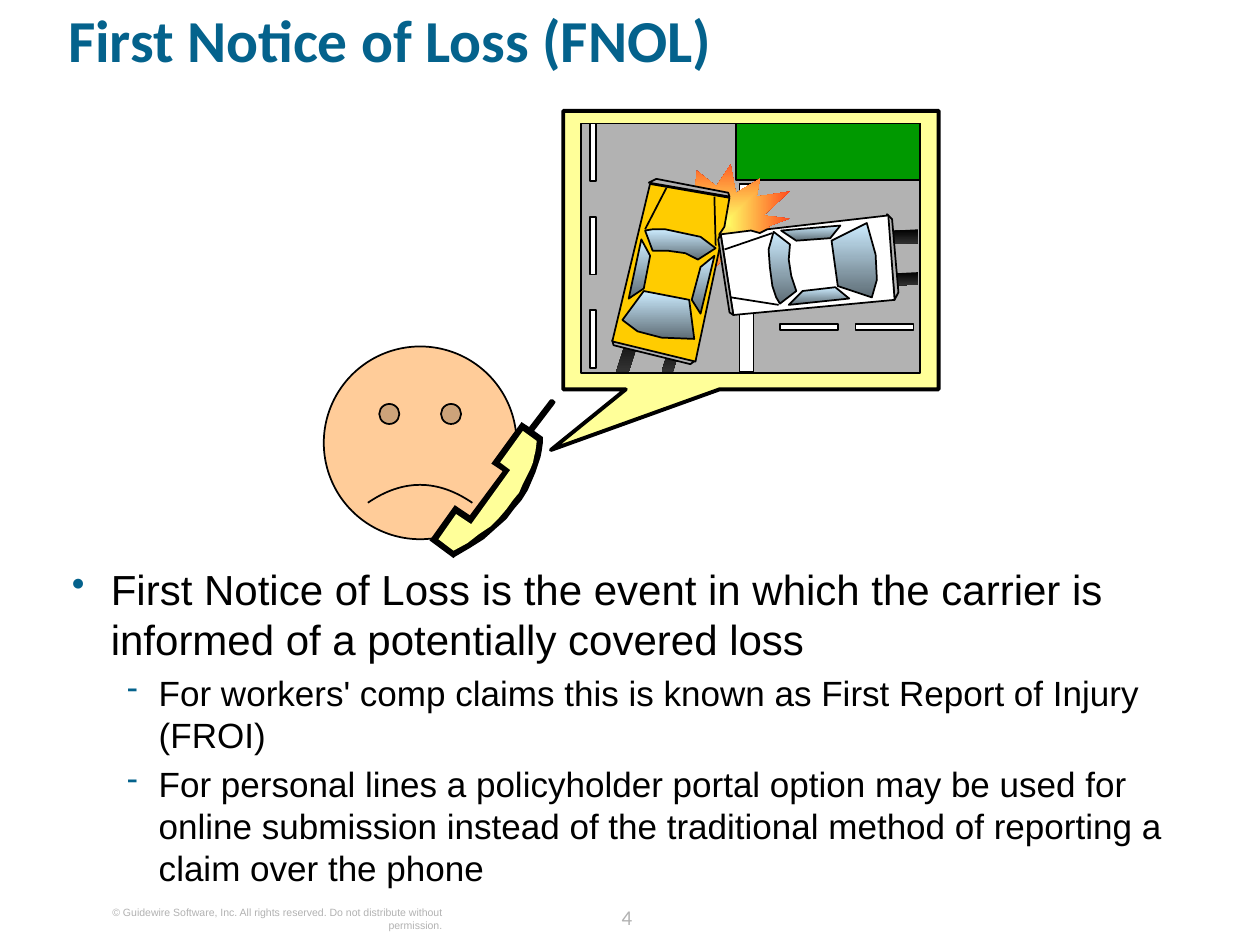
"""Build the First Notice of Loss slide with its accident call scene."""
from lxml import etree
from pptx import Presentation
from pptx.dml.color import RGBColor
from pptx.enum.shapes import MSO_CONNECTOR as CONNECTOR, MSO_SHAPE as SHAPE
from pptx.enum.text import PP_ALIGN as ALIGN
from pptx.oxml import parse_xml
from pptx.oxml.ns import nsdecls, qn
from pptx.util import Inches, Pt

COLORS = {
    "black": "000000", "white": "FFFFFF", "title": "04628C", "gray": "B2B2B2",
    "pale": "FFFF99", "skin": "FFCC99", "grass": "009900", "taxi": "FFCC00",
    "tire": "333333", "glass": "CCECFF", "glass_shade": "5E6D76",
    "flash": "FFFF66", "fire": "FF0000",
}
RUBBER = ("black", "tire")
GLASS = ("glass", "glass_shade")

HANDSET_OUTLINE = [
    (3.61, 4.01), (3.73, 4.09), (3.99, 3.74), (3.9, 3.68), (4.14, 3.35), (4.2, 3.39),
    (4.36, 3.18), (4.37, 3.17), (4.39, 3.17), (4.4, 3.18), (4.41, 3.19), (4.4, 3.21),
    (4.24, 3.42), (4.31, 3.47), (4.31, 3.51), (4.3, 3.58), (4.29, 3.63), (4.27, 3.69),
    (4.25, 3.75), (4.22, 3.82), (4.19, 3.89), (4.14, 3.97), (4.08, 4.04), (4.02, 4.12),
    (3.93, 4.2), (3.84, 4.28), (3.73, 4.35), (3.61, 4.42), (3.6, 4.43), (3.41, 4.29)]
HANDSET_FACE = [
    (3.6, 4.37), (3.71, 4.31), (3.8, 4.24), (3.89, 4.18), (3.96, 4.11), (4.02, 4.04),
    (4.07, 3.97), (4.12, 3.91), (4.15, 3.84), (4.18, 3.78), (4.21, 3.72), (4.23, 3.67),
    (4.24, 3.62), (4.25, 3.58), (4.26, 3.5), (4.15, 3.42), (3.97, 3.67), (4.05, 3.73),
    (3.74, 4.16), (3.62, 4.08), (3.48, 4.28)]
SKID_MARKS = [
    [(6.9, 1.94), (7.29, 1.93), (7.29, 1.82), (6.9, 1.84)],
    [(6.9, 2.27), (7.29, 2.26), (7.29, 2.16), (6.9, 2.18)],
    [(5.01, 2.58), (4.89, 2.95), (4.99, 2.95), (5.1, 2.61)],
    [(5.34, 2.67), (5.25, 2.95), (5.34, 2.95), (5.43, 2.67)]]
REAR_BUMPERS = [
    [(4.86, 2.7), (5.52, 2.86), (5.48, 2.89), (4.87, 2.74)],
    [(7.04, 1.7), (7.1, 2.38), (7.13, 2.32), (7.08, 1.74)]]
FRONT_BUMPERS = [
    [(5.82, 2.5), (5.72, 1.86), (5.7, 1.9), (5.79, 2.48)],
    [(5.15, 1.45), (5.21, 1.42), (5.78, 1.53), (5.79, 1.56)]]
YELLOW_CAR = {
    "paint": "taxi",
    "body": [(5.16, 1.46), (4.86, 2.71), (5.52, 2.87), (5.72, 1.93), (5.71, 1.86),
             (5.75, 1.8), (5.79, 1.57)],
    "windows": [
        [(5.12, 1.83), (5.18, 1.99), (5.3, 1.99), (5.44, 2.01), (5.54, 2.06),
         (5.68, 1.97), (5.56, 1.88), (5.42, 1.85), (5.28, 1.82), (5.18, 1.82)],
        [(5.11, 2.31), (4.94, 2.54), (5.06, 2.63), (5.25, 2.68), (5.51, 2.69), (5.47, 2.38)],
        [(5.56, 2.12), (5.67, 2.03), (5.56, 2.49), (5.49, 2.38)],
        [(5.16, 2.03), (5.11, 2.29), (4.99, 2.37), (5.09, 1.9)]],
    "hood": [((5.12, 1.82), (5.29, 1.49)), ((5.68, 1.95), (5.67, 1.56))],
}
WHITE_CAR = {
    "paint": "white",
    "body": [(5.82, 2.5), (7.1, 2.38), (7.05, 1.71), (6.09, 1.82), (6.03, 1.85),
             (5.96, 1.83), (5.72, 1.86)],
    "windows": [
        [(6.19, 2.41), (6.32, 2.31), (6.28, 2.19), (6.26, 2.06), (6.27, 1.94),
         (6.14, 1.84), (6.1, 1.98), (6.11, 2.12), (6.13, 2.27), (6.16, 2.36)],
        [(6.65, 2.27), (6.92, 2.36), (6.96, 2.22), (6.95, 2.02), (6.88, 1.77), (6.6, 1.91)],
        [(6.32, 1.91), (6.2, 1.83), (6.67, 1.79), (6.59, 1.89)],
        [(6.37, 2.31), (6.63, 2.28), (6.74, 2.37), (6.26, 2.42)]],
    "hood": [((6.18, 2.42), (5.8, 2.36)), ((6.13, 1.85), (5.75, 1.98))],
}
BODY = [
    (0, "First Notice of Loss is the event in which the carrier is informed of a "
        "potentially covered loss"),
    (1, "For workers' comp claims this is known as First Report of Injury (FROI)"),
    (1, "For personal lines a policyholder portal option may be used for online submission "
        "instead of the traditional method of reporting a claim over the phone"),
]
LEVELS = [("•", 0.31, 0.31, 24), ("-", 0.69, 0.25, 20)]


def rgb(name):
    return RGBColor.from_string(COLORS[name])


def paint(shape, fill, line_width):
    shape.shadow.inherit = False
    if isinstance(fill, tuple):
        shape.fill.gradient()
        shape.fill.gradient_angle = 270
        for stop, name in zip(shape.fill.gradient_stops, fill):
            stop.color.rgb = rgb(name)
    else:
        shape.fill.solid()
        shape.fill.fore_color.rgb = rgb(fill)
    if line_width:
        shape.line.color.rgb = rgb("black")
        shape.line.width = Pt(line_width)
    else:
        shape.line.fill.background()
    return shape


def add_preset(slide, kind, box, fill, line_width=1, adjustments=()):
    shape = slide.shapes.add_shape(kind, *map(Inches, box))
    for index, value in enumerate(adjustments):
        shape.adjustments[index] = value
    return paint(shape, fill, line_width)


def add_outline(slide, points, fill, line_width=1):
    corners = [(Inches(x), Inches(y)) for x, y in points]
    builder = slide.shapes.build_freeform(*corners[0])
    builder.add_line_segments(corners[1:], close=True)
    return paint(builder.convert_to_shape(), fill, line_width)


def add_crease(slide, start, end):
    crease = slide.shapes.add_connector(CONNECTOR.STRAIGHT, *map(Inches, start + end))
    crease.line.color.rgb = rgb("black")
    crease.line.width = Pt(1)
    etree.SubElement(crease._element.spPr, qn("a:effectLst"))


def add_text_frame(slide, box):
    frame = slide.shapes.add_textbox(*map(Inches, box)).text_frame
    frame.word_wrap = True
    frame.margin_left = frame.margin_right = frame.margin_top = frame.margin_bottom = 0
    return frame


def add_run(paragraph, text, size, color, font="Arial", bold=False):
    run = paragraph.add_run()
    run.text = text
    run.font.size = Pt(size)
    run.font.name = font
    run.font.bold = bold
    run.font.color.rgb = rgb(color)


def add_bullet(paragraph, mark, margin, hanging):
    props = paragraph._p.get_or_add_pPr()
    props.set("marL", str(Inches(margin)))
    props.set("indent", str(-Inches(hanging)))
    for xml in (f'<a:buClr {nsdecls("a")}><a:srgbClr val="{COLORS["title"]}"/></a:buClr>',
                f'<a:buSzPct {nsdecls("a")} val="90000"/>',
                f'<a:buChar {nsdecls("a")} char="{mark}"/>'):
        props.append(parse_xml(xml))


def add_body(slide):
    frame = add_text_frame(slide, (0.57, 4.47, 9.1, 2.22))
    for index, (level, text) in enumerate(BODY):
        paragraph = frame.add_paragraph() if index else frame.paragraphs[0]
        mark, margin, hanging, size = LEVELS[level]
        add_bullet(paragraph, mark, margin, hanging)
        paragraph.level = level
        if index:
            paragraph.space_before = Pt(4)
        add_run(paragraph, text, size, "black")


def add_explosion(slide):
    blast = add_preset(slide, SHAPE.EXPLOSION2, (5.26, 1.24, 1.01, 1.04), ("flash", "fire"), 0)
    blast.rotation = 44.7
    linear = blast._element.spPr.find(".//" + qn("a:lin"))
    linear.getparent().replace(linear, parse_xml(
        f'<a:path {nsdecls("a")} path="shape">'
        '<a:fillToRect l="50000" t="50000" r="50000" b="50000"/></a:path>'))


def add_car(slide, car):
    add_outline(slide, car["body"], car["paint"])
    for window in car["windows"]:
        add_outline(slide, window, GLASS)
    for start, end in car["hood"]:
        add_crease(slide, start, end)


def add_accident(slide):
    add_preset(slide, SHAPE.RECTANGLE, (4.61, 0.98, 2.69, 1.98), "gray")
    for mark in SKID_MARKS:
        add_outline(slide, mark, RUBBER, 0)
    add_preset(slide, SHAPE.RECTANGLE, (5.84, 0.98, 1.46, 0.45), "grass")
    add_preset(slide, SHAPE.RECTANGLE, (5.87, 1.46, 0.11, 1.49), "white")
    add_explosion(slide)
    for bumper in REAR_BUMPERS:
        add_outline(slide, bumper, "gray")
    upright_dashes = [(4.68, 0.98 + 0.74 * row, 0.05, 0.46) for row in range(3)]
    level_dashes = [(6.19 + 0.6 * column, 2.57, 0.46, 0.05) for column in range(2)]
    for dash in upright_dashes + level_dashes:
        add_preset(slide, SHAPE.RECTANGLE, dash, "white")
    add_car(slide, YELLOW_CAR)
    add_car(slide, WHITE_CAR)
    for bumper in FRONT_BUMPERS:
        add_outline(slide, bumper, "gray")


def add_caller(slide):
    add_preset(slide, SHAPE.RECTANGULAR_CALLOUT, (4.47, 0.88, 2.98, 2.21), "pale", 2.25,
               (-0.533, 0.718))
    add_preset(slide, SHAPE.SMILEY_FACE, (2.57, 2.75, 1.53, 1.53), "skin", 1, (-0.047,))
    add_outline(slide, HANDSET_OUTLINE, "black", 0)
    add_outline(slide, HANDSET_FACE, "pale", 0)


def add_footer(slide):
    number = add_text_frame(slide, (4.69, 7.13, 0.57, 0.25)).paragraphs[0]
    number.alignment = ALIGN.CENTER
    number.line_spacing = Pt(18)
    add_run(number, "4", 12, "gray", "Calibri")
    notice = add_text_frame(slide, (0.61, 7.19, 2.9, 0.2)).paragraphs[0]
    notice.alignment = ALIGN.RIGHT
    add_run(notice, "© Guidewire Software, Inc. All rights reserved. "
                    "Do not distribute without permission.", 6, "gray")


def main():
    deck = Presentation()
    deck.slide_width, deck.slide_height = Inches(10), Inches(7.5)
    slide = deck.slides.add_slide(deck.slide_layouts[6])
    add_footer(slide)
    add_caller(slide)
    title = add_text_frame(slide, (0.54, 0.13, 9.1, 0.81)).paragraphs[0]
    title.line_spacing = 0.8
    add_run(title, "First Notice of Loss (FNOL)", 34, "title", "Calibri", True)
    add_body(slide)
    add_accident(slide)
    deck.save("out.pptx")


if __name__ == "__main__":
    main()
